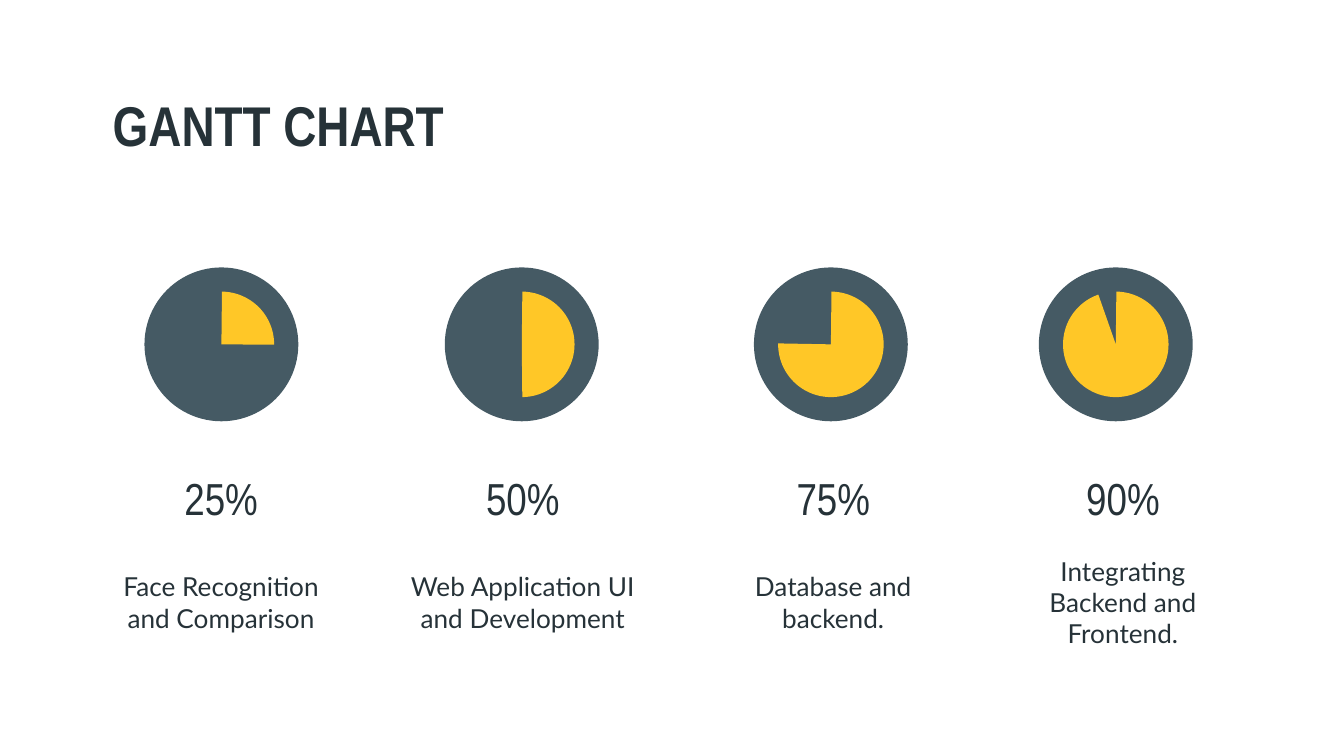
from collections import namedtuple

from pptx import Presentation
from pptx.dml.color import RGBColor
from pptx.enum.shapes import MSO_SHAPE as Shape
from pptx.enum.text import MSO_ANCHOR as Anchor, PP_ALIGN as Align
from pptx.util import Emu, Pt

PX = 4572
INK = RGBColor(0x26, 0x32, 0x38)
SLATE = RGBColor(0x45, 0x5A, 0x64)
AMBER = RGBColor(0xFF, 0xC7, 0x27)

HEADING = {"name": "Arial Narrow", "size": Pt(30), "bold": True}
PERCENT = {"name": "Arial Narrow", "size": Pt(24), "bold": False}
CAPTION = {"name": "Lato", "size": Pt(14), "bold": False}

PIE_START = 270.65
DEGREE = 0.6
DISC_SIZE, PIE_SIZE = 229, 157

Box = namedtuple("Box", "left top width height")
Milestone = namedtuple("Milestone", "left disc_offset caption_width percent pie_end caption")

MILESTONES = [
    Milestone(148, 67, 362, "25%", 0.43, "Face Recognition and Comparison"),
    Milestone(597, 65, 400, "50%", 89.38, "Web Application UI and Development"),
    Milestone(1059, 63, 362, "75%", 181.05, "Database and backend."),
    Milestone(1490, 56, 362, "90%", 250.68, "Integrating Backend and Frontend."),
]


def to_emu(box):
    return [Emu(length * PX) for length in box]


def add_text(slide, box, text, font, align, anchor):
    frame = slide.shapes.add_textbox(*to_emu(box)).text_frame
    margins = dict.fromkeys(
        ("margin_left", "margin_top", "margin_right", "margin_bottom"), Emu(20 * PX)
    )
    for name, value in {**margins, "word_wrap": True, "vertical_anchor": anchor}.items():
        setattr(frame, name, value)
    paragraph = frame.paragraphs[0]
    paragraph.alignment = align
    run = paragraph.add_run()
    run.text = text
    for name, value in font.items():
        setattr(run.font, name, value)
    run.font.color.rgb = INK


def add_filled_shape(slide, kind, box, color):
    shape = slide.shapes.add_shape(kind, *to_emu(box))
    shape.shadow.inherit = False
    shape.fill.solid()
    shape.fill.fore_color.rgb = color
    shape.line.fill.background()
    return shape


def add_title(slide, box):
    add_text(slide, box, "GANTT CHART", HEADING, Align.LEFT, Anchor.TOP)


def add_progress_disc(slide, box, pie_end):
    add_filled_shape(slide, Shape.OVAL, box, SLATE)
    inset = (box.width - PIE_SIZE) // 2
    pie_box = Box(box.left + inset, box.top + inset, PIE_SIZE, PIE_SIZE)
    pie = add_filled_shape(slide, Shape.PIE, pie_box, AMBER)
    for index, angle in enumerate((PIE_START, pie_end)):
        pie.adjustments[index] = angle * DEGREE


def add_milestone(slide, box, milestone):
    disc_box = Box(box.left + milestone.disc_offset, box.top, DISC_SIZE, DISC_SIZE)
    add_progress_disc(slide, disc_box, milestone.pie_end)
    percent_box = Box(box.left, box.top + 303, box.width, 80)
    add_text(slide, percent_box, milestone.percent, PERCENT, Align.CENTER, Anchor.MIDDLE)
    overhang = (milestone.caption_width - box.width) // 2
    caption_box = Box(
        box.left - overhang, box.top + 383, milestone.caption_width, box.height - 383
    )
    add_text(slide, caption_box, milestone.caption, CAPTION, Align.CENTER, Anchor.MIDDLE)


def main():
    presentation = Presentation()
    presentation.slide_width, presentation.slide_height = Emu(2000 * PX), Emu(1125 * PX)
    slide = presentation.slides.add_slide(presentation.slide_layouts[6])
    add_title(slide, Box(148, 115, 1704, 142))
    for milestone in MILESTONES:
        add_milestone(slide, Box(milestone.left, 398, 362, 613), milestone)
    presentation.save("out.pptx")


if __name__ == "__main__":
    main()
